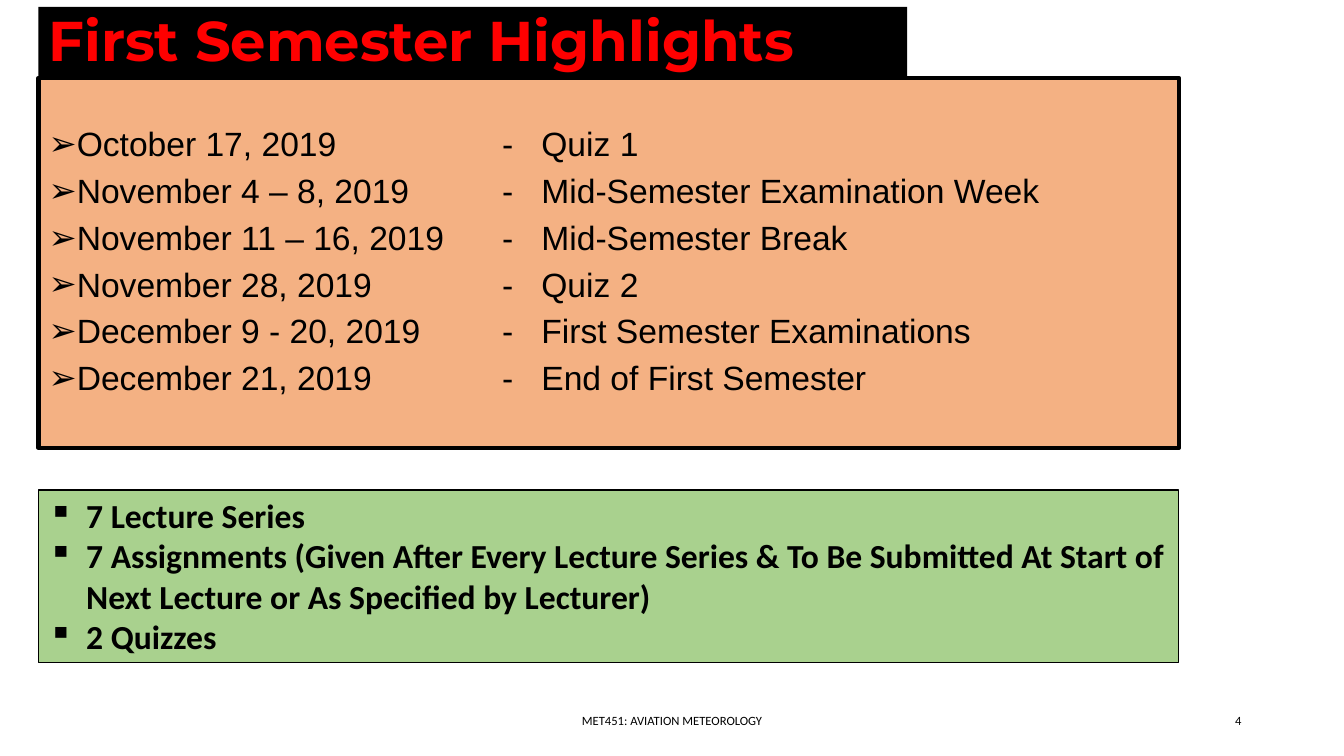
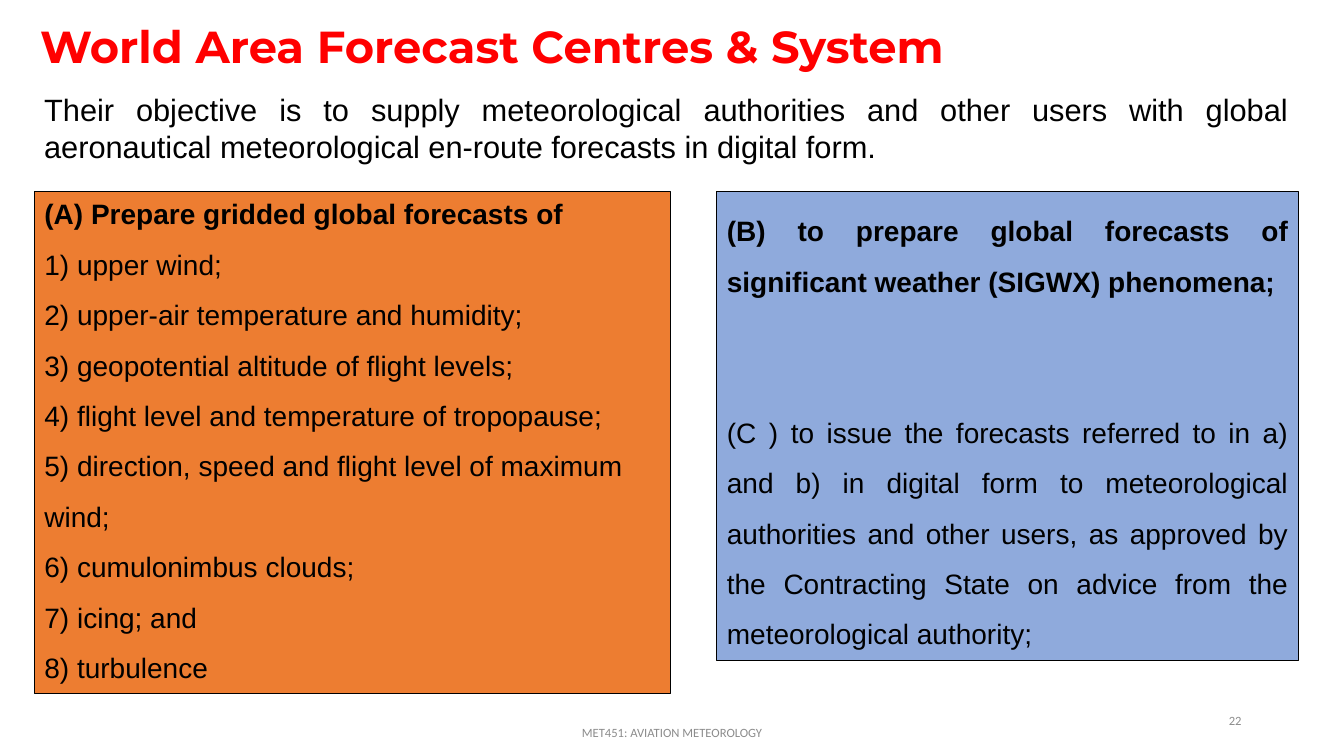
from lxml.etree import SubElement
from pptx import Presentation
from pptx.dml.color import RGBColor
from pptx.enum.text import MSO_ANCHOR as ANCHOR, MSO_AUTO_SIZE as AUTO_SIZE, PP_ALIGN as ALIGN
from pptx.oxml.ns import qn
from pptx.util import Pt

# Shared style
RED, BLACK, GREY = "FF0000", "000000", "8C8C8C"
PEACH, GREEN, ORANGE, BLUE = "F4B183", "A9D18E", "ED7D31", "8FAADC"
TITLE = dict(font="Montserrat", color=RED, bold=True, anchor=ANCHOR.MIDDLE)
FOOTER = dict(font="Calibri", size=9, anchor=ANCHOR.MIDDLE)
COURSE = "MET451: AVIATION METEOROLOGY"


def rgb(value):
    return RGBColor.from_string(value)


def write(shape, box, lines, font="Arial", size=20, color=BLACK, bold=False,
          bold_first=False, align=ALIGN.LEFT, anchor=ANCHOR.TOP, spacing=1.0,
          first_spacing=None, gap=0, bullet=None, hang=0, tabs=(),
          fill=None, border=0):
    """Place a shape, frame it and fill it with one paragraph per line."""
    shape.left, shape.top, shape.width, shape.height = map(Pt, box)
    if fill:
        shape.fill.solid()
        shape.fill.fore_color.rgb = rgb(fill)
    if border:
        shape.line.color.rgb = rgb(BLACK)
        shape.line.width = Pt(border)
    frame = shape.text_frame
    frame.word_wrap = True
    frame.auto_size = AUTO_SIZE.NONE
    frame.vertical_anchor = anchor
    for index, line in enumerate(lines):
        paragraph = frame.paragraphs[0] if index == 0 else frame.add_paragraph()
        paragraph.text = line
        props = paragraph._p.get_or_add_pPr()
        props.set("marL", str(Pt(hang)))
        props.set("indent", str(Pt(-hang)))
        if bullet:
            SubElement(props, qn("a:buChar")).set("char", bullet)
        else:
            SubElement(props, qn("a:buNone"))
        if tabs:
            stops = SubElement(props, qn("a:tabLst"))
            for position in tabs:
                SubElement(stops, qn("a:tab"), pos=str(Pt(position)), algn="l")
        paragraph.alignment = align
        paragraph.line_spacing = first_spacing if first_spacing and index == 0 else spacing
        paragraph.space_before = Pt(gap if index else 0)
        paragraph.space_after = Pt(0)
        paragraph.font.name = font
        for run in paragraph.runs:
            run.font.name = font
            run.font.size = Pt(size)
            run.font.bold = bold or (bold_first and index == 0)
            run.font.color.rgb = rgb(color)


deck = Presentation()
deck.slide_width, deck.slide_height = Pt(960), Pt(540)

# Slide: semester dates and workload
semester = deck.slides.add_slide(deck.slide_layouts[1])
write(semester.shapes.title, (27.5, 5, 620.5, 52.5), ["First Semester Highlights"],
      size=40, spacing=0.9, fill=BLACK, **TITLE)

events = [
    ("October 17, 2019", "Quiz 1"),
    ("November 4 – 8, 2019", "Mid-Semester Examination Week"),
    ("November 11 – 16, 2019", "Mid-Semester Break"),
    ("November 28, 2019", "Quiz 2"),
    ("December 9 - 20, 2019", "First Semester Examinations"),
    ("December 21, 2019", "End of First Semester"),
]
write(semester.placeholders[1], (27.5, 55.5, 814.5, 264.5),
      [f"{date}\t-\t{event}" for date, event in events],
      size=24, anchor=ANCHOR.MIDDLE, spacing=0.9, gap=7.5,
      bullet="➢", hang=14, tabs=(324, 352), fill=PEACH, border=3)

workload = [
    "7 Lecture Series",
    "7 Assignments (Given After Every Lecture Series & To Be Submitted At Start "
    "of Next Lecture or As Specified by Lecturer)",
    "2 Quizzes",
]
write(semester.shapes.add_textbox(0, 0, 0, 0), (27.5, 350, 814.5, 123.5), workload,
      font="Calibri", size=24, bold=True, bullet="▪", hang=27, fill=GREEN, border=0.75)

# Slide: forecast centres
centres = deck.slides.add_slide(deck.slide_layouts[3])
write(centres.shapes.title, (21.5, 9.5, 770.5, 46),
      ["World Area Forecast Centres & System"], size=32, **TITLE)

write(centres.shapes.add_textbox(0, 0, 0, 0), (24.5, 61, 903, 60.5),
      ["Their objective is to supply meteorological authorities and other users with "
       "global aeronautical meteorological en-route forecasts in digital form."],
      size=22, align=ALIGN.JUSTIFY)

gridded = [
    "upper wind;",
    "upper-air temperature and humidity;",
    "geopotential altitude of flight levels;",
    "flight level and temperature of tropopause;",
    "direction, speed and flight level of maximum wind;",
    "cumulonimbus clouds;",
    "icing; and",
    "turbulence",
]
panel = dict(bold_first=True, spacing=1.5, border=0.75)
write(centres.placeholders[1], (24.5, 137, 454.5, 358.5),
      ["(A) Prepare gridded global forecasts of"]
      + [f"{number}) {item}" for number, item in enumerate(gridded, 1)],
      first_spacing=1.0, fill=ORANGE, **panel)

duties = [
    "(B) to prepare global forecasts of significant weather (SIGWX) phenomena;",
    "(C ) to issue the forecasts referred to in a) and b) in digital form to "
    "meteorological authorities and other users, as approved by the Contracting "
    "State on advice from the meteorological authority;",
]
write(centres.placeholders[2], (512, 137, 415.5, 335), duties,
      align=ALIGN.JUSTIFY, gap=72, fill=BLUE, **panel)

# Footers and page numbers
for slide, number, color, course_top in ((semester, "4", BLACK, 500.5),
                                         (centres, "22", GREY, 509)):
    write(slide.shapes.add_textbox(0, 0, 0, 0), (318, course_top, 324, 28.5), [COURSE],
          color=color, align=ALIGN.CENTER, **FOOTER)
    write(slide.shapes.add_textbox(0, 0, 0, 0), (678, 500.5, 216, 28.5), [number],
          color=color, align=ALIGN.RIGHT, **FOOTER)

deck.save("out.pptx")
